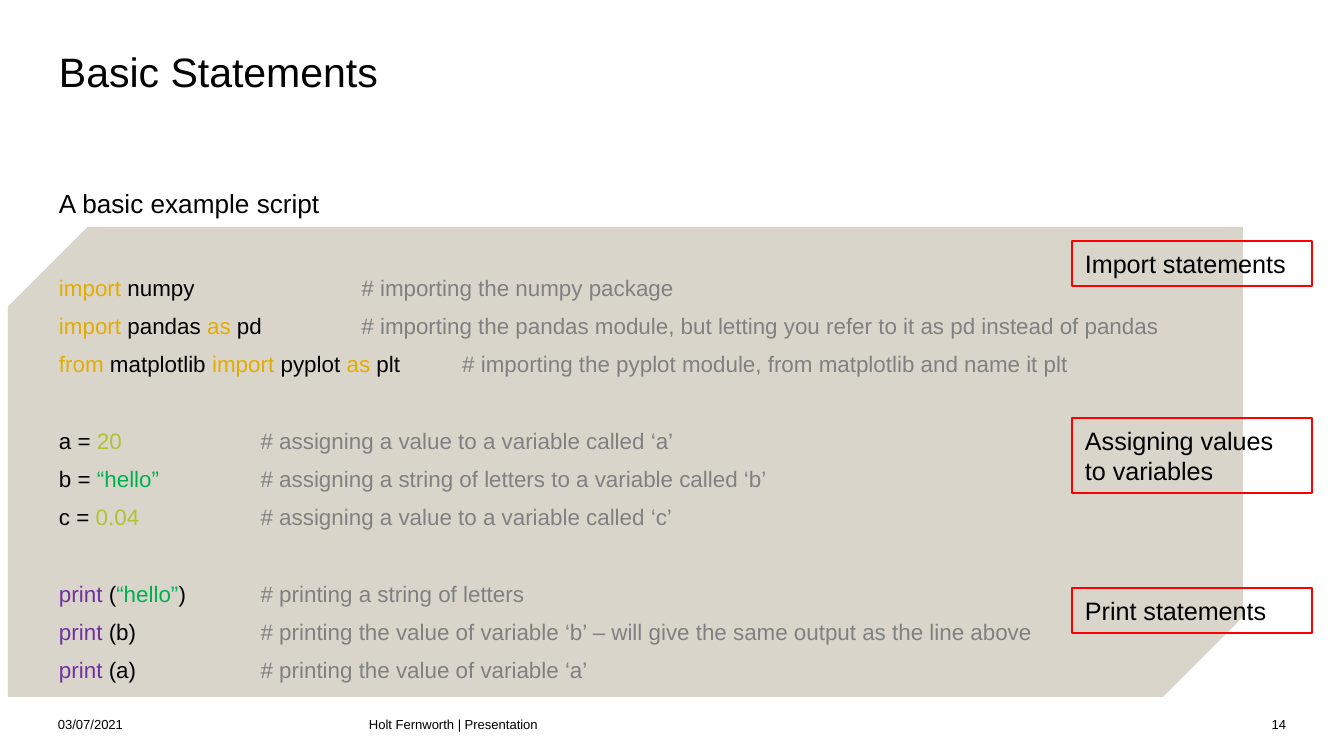
from pptx import Presentation
from pptx.dml.color import RGBColor
from pptx.enum.shapes import MSO_SHAPE as Shape
from pptx.enum.text import MSO_ANCHOR as Anchor, PP_ALIGN as Align
from pptx.oxml.ns import qn
from pptx.util import Pt
from lxml.etree import SubElement

# Content
TITLE = "Basic Statements"
INTRO = "A basic example script"
# Each block holds lines of (code pieces, tab stop number, comment)
BLOCKS = [
    [
        ([("import ", "keyword"), ("numpy", "text")], 3,
         "# importing the numpy package"),
        ([("import", "keyword"), (" pandas ", "text"), ("as", "keyword"), (" pd", "text")], 3,
         "# importing the pandas module, but letting you refer to it as pd instead of pandas"),
        ([("from", "keyword"), (" matplotlib ", "text"), ("import ", "keyword"),
          ("pyplot ", "text"), ("as ", "keyword"), ("plt", "text")], 4,
         "# importing the pyplot module, from matplotlib and name it plt"),
    ],
    [
        ([("a = ", "text"), ("20", "number")], 2,
         "# assigning a value to a variable called ‘a’"),
        ([("b = ", "text"), ("“hello”", "string")], 2,
         "# assigning a string of letters to a variable called ‘b’"),
        ([("c = ", "text"), ("0.04", "number")], 2,
         "# assigning a value to a variable called ‘c’"),
    ],
    [
        ([("print", "function"), (" (", "text"), ("“hello”", "string"), (")", "text")], 2,
         "# printing a string of letters"),
        ([("print", "function"), (" (b)", "text")], 2,
         "# printing the value of variable ‘b’ – will give the same output as the line above"),
        ([("print", "function"), (" (a)", "text")], 2,
         "# printing the value of variable ‘a’"),
    ],
]
# (text, top, height)
CALLOUTS = [
    ("Import statements", 241, 45),
    ("Assigning values to variables", 418, 75),
    ("Print statements", 588, 45),
]
# (text, left, width, alignment)
FOOTERS = [
    ("03/07/2021", 58, 296, Align.LEFT),
    ("Holt Fernworth | Presentation", 369, 605, Align.LEFT),
    ("14", 990, 296, Align.RIGHT),
]

THEME = {
    "font": "Arial",
    "colors": {"text": "000000", "keyword": "E2AC00", "number": "AFC236",
               "string": "00B050", "function": "7030A0", "comment": "808080",
               "panel": "D9D5CB", "callout": "FF0000"},
    "sizes": {"title": 22, "intro": 14, "code": 12, "callout": 13.5, "footer": 7},
}
TAB = 100.8  # px between tab stops
LINE_GAP = 7.5
BLOCK_GAPS = [31, 28, 28]  # points above each code block


def px(value):
    return round(value * 914400 / 134.4)


def color(name):
    return RGBColor.from_string(THEME["colors"][name])


def place(shape, left, top, width, height):
    box = {"left": left, "top": top, "width": width, "height": height}
    for name, value in box.items():
        setattr(shape, name, px(value))


def set_frame(shape, insets, anchor):
    frame = shape.text_frame
    sides = ("margin_left", "margin_top", "margin_right", "margin_bottom")
    values = dict(zip(sides, map(px, insets)), word_wrap=True, vertical_anchor=anchor)
    for name, value in values.items():
        setattr(frame, name, value)
    return frame


def add_text(paragraph, text, size, tint="text"):
    run = paragraph.add_run()
    run.text = text
    values = {"name": THEME["font"], "size": Pt(THEME["sizes"][size]), "bold": False}
    for name, value in values.items():
        setattr(run.font, name, value)
    run.font.color.rgb = color(tint)


def add_tab_stop(paragraph, position):
    stops = SubElement(paragraph._p.get_or_add_pPr(), qn("a:tabLst"))
    SubElement(stops, qn("a:tab"), pos=str(px(position)), algn="l")


presentation = Presentation()
presentation.slide_width, presentation.slide_height = px(1344), px(756)
slide = presentation.slides.add_slide(presentation.slide_layouts[5])
shapes = slide.shapes

# Title
title = shapes.title
place(title, 59, 47, 1159, 54)
paragraph = set_frame(title, (0, 7, 13, 7), Anchor.MIDDLE).paragraphs[0]
paragraph.alignment, paragraph.line_spacing = Align.LEFT, 0.9
add_text(paragraph, TITLE, "title")

# Panel behind the code
panel = shapes.add_shape(Shape.SNIP_2_DIAG_RECTANGLE, px(8), px(227), px(1235), px(470))
panel.adjustments[0], panel.adjustments[1] = 0.17, 0
panel.shadow.inherit = False
panel.fill.solid()
panel.fill.fore_color.rgb = color("panel")
panel.line.fill.background()

# Intro and code
code_box = shapes.add_textbox(px(59), px(184), px(1187), px(392))
frame = set_frame(code_box, (0, 7, 0, 7), Anchor.TOP)
paragraph = frame.paragraphs[0]
paragraph.line_spacing = 0.9
add_text(paragraph, INTRO, "intro")
for block, block_gap in zip(BLOCKS, BLOCK_GAPS):
    for index, (pieces, stop, comment) in enumerate(block):
        paragraph = frame.add_paragraph()
        paragraph.line_spacing = 0.9
        paragraph.space_before = Pt(LINE_GAP if index else block_gap)
        add_tab_stop(paragraph, stop * TAB)
        for text, tint in pieces:
            add_text(paragraph, text, "code", tint)
        add_text(paragraph, "\t" + comment, "code", "comment")

# Callouts
for text, top, height in CALLOUTS:
    callout = shapes.add_shape(Shape.RECTANGLE, px(1072), px(top), px(240), px(height))
    callout.shadow.inherit = False
    callout.fill.background()
    callout.line.color.rgb = color("callout")
    callout.line.width = Pt(0.75)
    paragraph = set_frame(callout, (13, 7, 13, 7), Anchor.MIDDLE).paragraphs[0]
    paragraph.alignment = Align.LEFT
    add_text(paragraph, text, "callout")

# Footer
for text, left, width, alignment in FOOTERS:
    footer = shapes.add_textbox(px(left), px(716), px(width), px(15))
    paragraph = set_frame(footer, (0, 0, 0, 0), Anchor.TOP).paragraphs[0]
    paragraph.alignment = alignment
    add_text(paragraph, text, "footer")

presentation.save("out.pptx")
